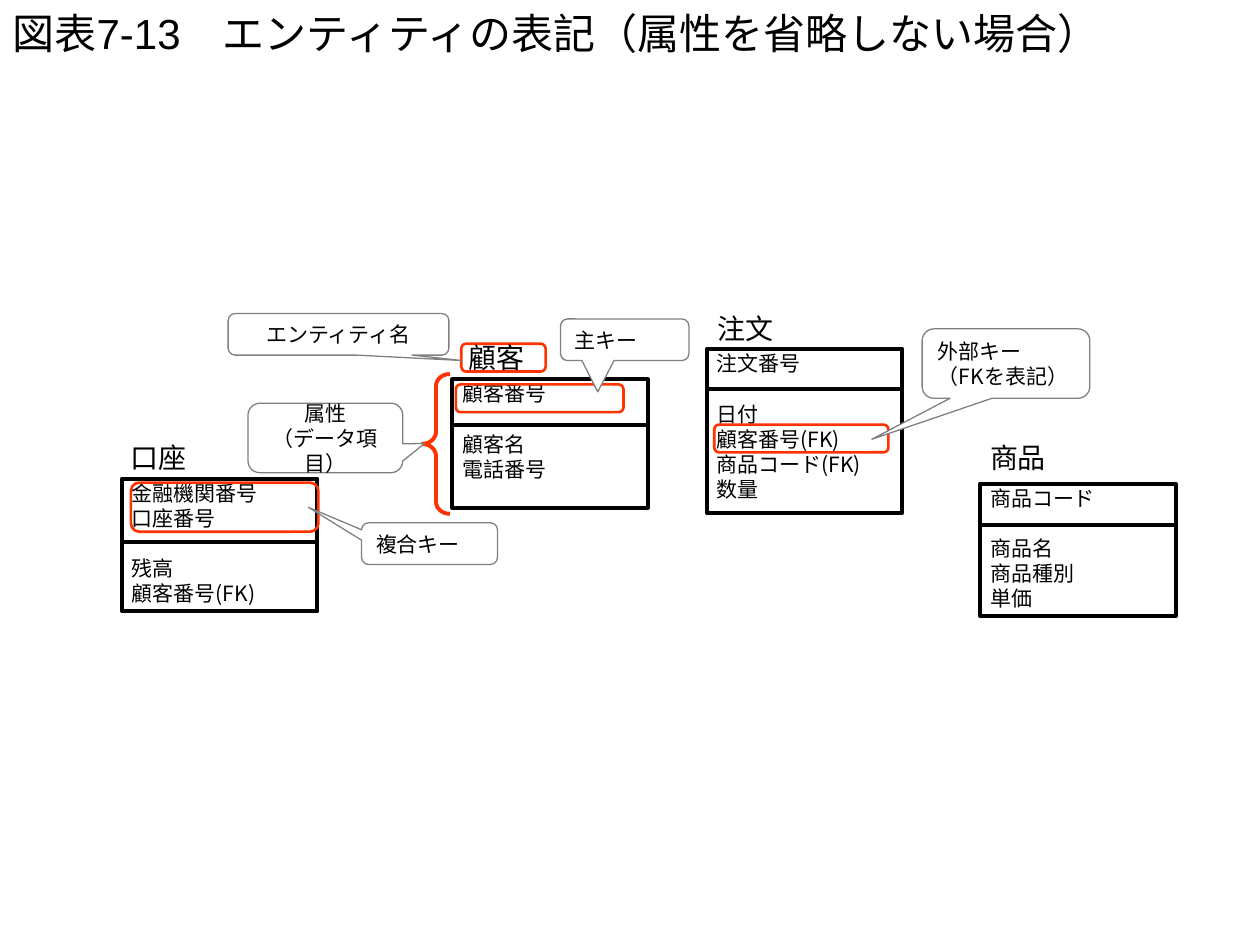
from lxml import etree
from pptx import Presentation
from pptx.dml.color import RGBColor
from pptx.enum.shapes import MSO_CONNECTOR, MSO_SHAPE
from pptx.enum.text import MSO_ANCHOR, PP_ALIGN
from pptx.oxml.ns import qn
from pptx.util import Cm, Pt

# Content: lengths in centimetres
TITLE = "図表7-13\u3000エンティティの表記（属性を省略しない場合）"
ENTITY_WIDTH = 3.94
ENTITIES = [  # name, name position, box left, top, height, divider y, keys, attributes
    ("注文", (14.22, 6.15), 14.25, 7.04, 3.3, 7.85,
     ["注文番号"], ["日付", "顧客番号(FK)", "商品コード(FK)", "数量"]),
    ("商品", (19.71, 8.74), 19.76, 9.75, 2.67, 10.59,
     ["商品コード"], ["商品名", "商品種別", "単価"]),
    ("顧客", (9.19, 6.73), 9.12, 7.65, 2.59, 8.56,
     ["顧客番号"], ["顧客名", "電話番号"]),
    ("口座", (2.39, 8.74), 2.46, 9.65, 2.67, 10.92,
     ["金融機関番号", "口座番号"], ["残高", "顧客番号(FK)"]),
]
HIGHLIGHTS = [
    (2.64, 9.73, 3.78, 0.99),
    (14.4, 8.56, 3.51, 0.56),
    (9.19, 7.75, 3.38, 0.56),
    (9.3, 6.93, 1.7, 0.56),
]
BRACE = (8.51, 7.54, 0.56, 2.82)
CALLOUTS = [  # lines, frame, pointer tip, alignment
    (["複合キー"], (7.29, 10.54, 2.74, 0.84), (-0.89, -0.87), PP_ALIGN.LEFT),
    (["属性", "（データ項目）"], (5, 8.13, 3.12, 1.4), (0.64, 0.08), PP_ALIGN.CENTER),
    (["エンティティ名"], (4.6, 6.32, 4.45, 0.84), (0.56, 0.63), PP_ALIGN.CENTER),
    (["外部キー", "（FKを表記）"], (18.59, 6.63, 3.38, 1.4), (-0.8, 1.09), PP_ALIGN.LEFT),
    (["主キー"], (11.3, 6.43, 2.59, 0.84), (-0.21, 1.25), PP_ALIGN.LEFT),
]
COLOURS = {"ink": "000000", "accent": "FF3300", "grey": "808080", "paper": "FFFFFF"}
JAPANESE = "Noto Sans CJK JP"
CORNER = 0.17
LINE_PITCH = Pt(14.4)


def colour(name):
    return RGBColor.from_string(COLOURS[name])


def write(para, text, size, font=JAPANESE):
    span = para.add_run()
    span.text = text
    span.font.size = Pt(size)
    span.font.name = font
    span.font.color.rgb = colour("ink")
    east_asian = etree.SubElement(span._r.get_or_add_rPr(), qn("a:ea"))
    east_asian.set("typeface", JAPANESE)


def write_lines(frame, lines, align=PP_ALIGN.LEFT, gap_before=None):
    """One paragraph per line, with a blank line's height before line gap_before."""
    for index, line in enumerate(lines):
        para = frame.add_paragraph() if index else frame.paragraphs[0]
        para.alignment = align
        para.line_spacing = LINE_PITCH
        if index == gap_before:
            para.space_before = LINE_PITCH
        write(para, line, 12)


def set_margins(frame, side, end):
    frame.margin_left = frame.margin_right = Cm(side)
    frame.margin_top = frame.margin_bottom = Cm(end)


def add_outline(page, kind, frame, line, width, fill=None, adjustments=()):
    shape = page.shapes.add_shape(kind, *map(Cm, frame))
    shape.shadow.inherit = False
    if fill:
        shape.fill.solid()
        shape.fill.fore_color.rgb = colour(fill)
    else:
        shape.fill.background()
    shape.line.color.rgb = colour(line)
    shape.line.width = Pt(width)
    for index, value in enumerate(adjustments):
        shape.adjustments[index] = value
    return shape


def add_entity(page, left, top, height, divider, keys, attributes):
    box = add_outline(page, MSO_SHAPE.RECTANGLE,
                      (left, top, ENTITY_WIDTH, height), "ink", 2.25)
    frame = box.text_frame
    frame.word_wrap = True
    frame.vertical_anchor = MSO_ANCHOR.TOP
    set_margins(frame, 0.2, 0.03)
    write_lines(frame, keys + attributes, gap_before=len(keys))

    rule = page.shapes.add_connector(MSO_CONNECTOR.STRAIGHT, Cm(left), Cm(divider),
                                     Cm(left + ENTITY_WIDTH), Cm(divider))
    rule.line.color.rgb = colour("ink")
    rule.line.width = Pt(2.25)
    etree.SubElement(rule._element.spPr, qn("a:effectLst"))


def add_name(page, name, position):
    box = page.shapes.add_textbox(*map(Cm, position), Cm(1.65), Cm(0.94))
    box.text_frame.word_wrap = False
    box.text_frame.vertical_anchor = MSO_ANCHOR.MIDDLE
    set_margins(box.text_frame, 0.25, 0.13)
    write(box.text_frame.paragraphs[0], name, 16, "Times New Roman")


def add_callout(page, lines, frame, tip, align):
    callout = add_outline(page, MSO_SHAPE.ROUNDED_RECTANGULAR_CALLOUT, frame,
                          "grey", 0.75, "paper", (*tip, CORNER))
    text = callout.text_frame
    text.word_wrap = True
    text.vertical_anchor = MSO_ANCHOR.MIDDLE
    set_margins(text, 0.25, 0.13)
    write_lines(text, lines, align)


def main():
    deck = Presentation()
    deck.slide_width, deck.slide_height = Cm(25.4), Cm(19.05)
    page = deck.slides.add_slide(deck.slide_layouts[5])

    # Title
    title = page.shapes.title
    title.left, title.top, title.width, title.height = map(Cm, (0, 0, 25.4, 1.32))
    title.text_frame.vertical_anchor = MSO_ANCHOR.MIDDLE
    title.text_frame.paragraphs[0].alignment = PP_ALIGN.LEFT
    write(title.text_frame.paragraphs[0], TITLE, 24, "Arial")

    # Entity boxes with their dividers
    for name, position, *entity in ENTITIES:
        add_entity(page, *entity)

    # Red marks
    for frame in HIGHLIGHTS:
        add_outline(page, MSO_SHAPE.ROUNDED_RECTANGLE, frame, "accent", 1.5,
                    adjustments=(CORNER,))
    add_outline(page, MSO_SHAPE.LEFT_BRACE, BRACE, "accent", 2.25,
                adjustments=(0.43, 0.5))

    # Explanations
    for callout in CALLOUTS:
        add_callout(page, *callout)

    # Entity names
    for name, position, *entity in ENTITIES:
        add_name(page, name, position)

    deck.save("out.pptx")


if __name__ == "__main__":
    main()
